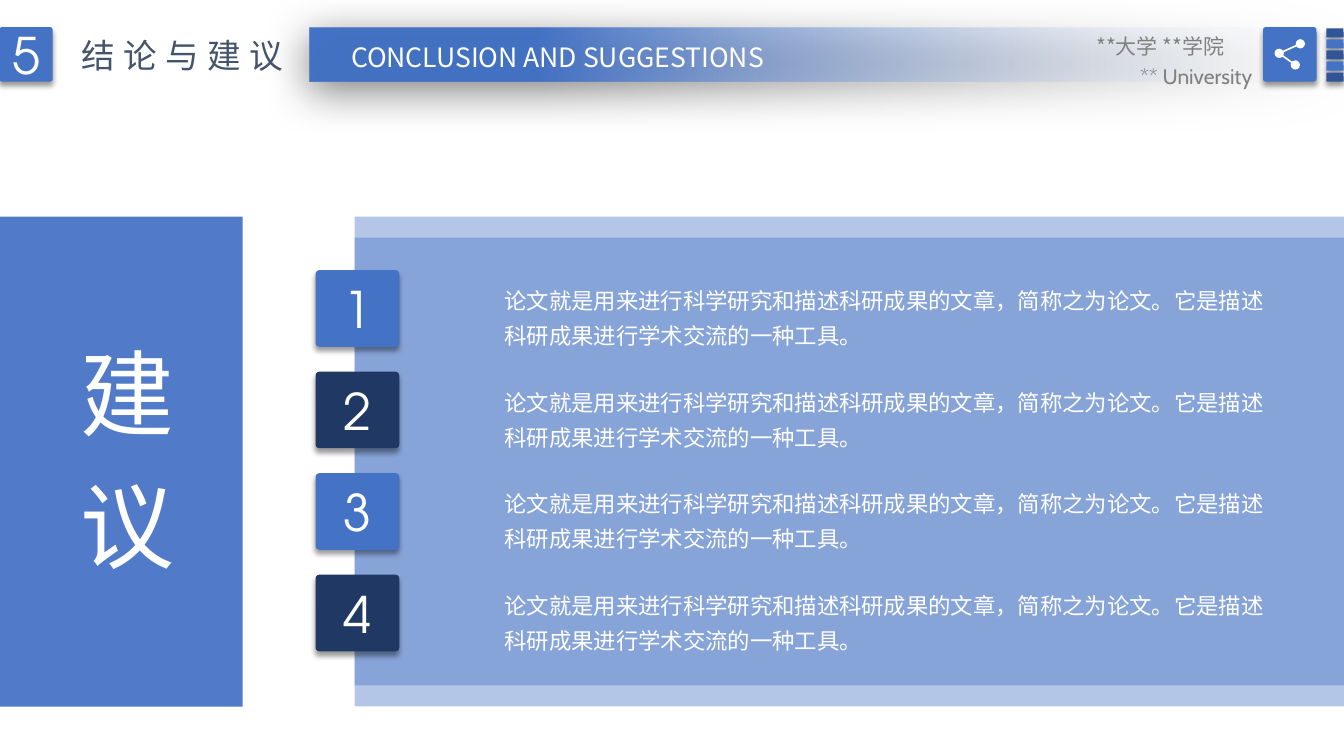
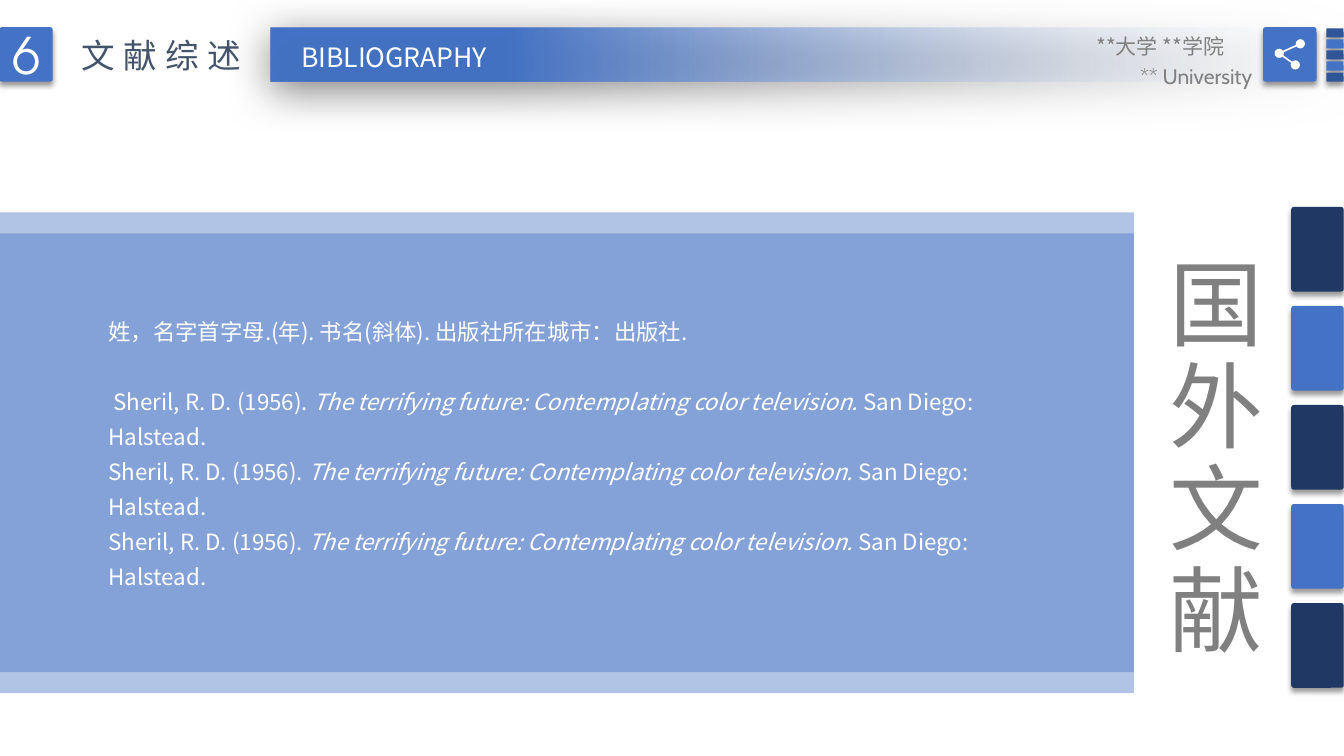
from pptx import Presentation
from pptx.dml.color import RGBColor
from pptx.enum import shapes, text
from pptx.oxml import ns, xmlchemy
from pptx.util import Pt

BLUE, NAVY, STEEL = "4472C4", "203864", "2F5597"
WHITE, GRAY, SLATE, PALE = "FFFFFF", "808080", "44546A", "F7FAFD"
SANS, ROUND, LATIN = "Noto Sans CJK SC", "TeX Gyre Adventor", "Cabin"
WIDE, HIGH = 960, 540
RECT = shapes.MSO_SHAPE.RECTANGLE
SOFT = shapes.MSO_SHAPE.ROUNDED_RECTANGLE
OVAL = shapes.MSO_SHAPE.OVAL
LEFT, MID, RIGHT = text.PP_ALIGN.LEFT, text.PP_ALIGN.CENTER, text.PP_ALIGN.RIGHT

ADVICE = "论文就是用来进行科学研究和描述科研成果的文章，简称之为论文。它是描述科研成果进行学术交流的一种工具。"
FORMAT = "姓，名字首字母.(年). 书名(斜体). 出版社所在城市：出版社."
AUTHOR = "Sheril, R. D. (1956). "
BOOK = "The terrifying future: Contemplating color television. "
PRESS = "San Diego: Halstead."


def color(code):
    return RGBColor.from_string(code)


def add(parent, tag, **attrs):
    node = xmlchemy.OxmlElement(tag)
    for key, value in attrs.items():
        node.set(key, str(value))
    parent.append(node)
    return node


def fade(shape, part):
    tint = next(shape._element.spPr.iter(ns.qn("a:srgbClr")))
    add(tint, "a:alpha", val=part * 1000)


def shade(shape, part, blur, dist, angle):
    effects = shape._element.spPr.find(ns.qn("a:effectLst"))
    drop = add(effects, "a:outerShdw", blurRad=Pt(blur), dist=Pt(dist),
               dir=angle * 60000, algn="ctr", rotWithShape=0)
    tint = add(drop, "a:srgbClr", val="000000")
    add(tint, "a:alpha", val=part * 1000)


def block(slide, kind, box, fill):
    shape = slide.shapes.add_shape(kind, *map(Pt, box))
    shape.shadow.inherit = False
    shape.line.fill.background()
    shape.fill.solid()
    shape.fill.fore_color.rgb = color(fill)
    return shape


def style(para, size, fill, face=SANS, align=LEFT, track=0):
    para.alignment = align
    font = para.font
    font.size, font.name = Pt(size), face
    font.color.rgb = color(fill)
    props = para._p.pPr.find(ns.qn("a:defRPr"))
    add(props, "a:ea", typeface=face)
    if track:
        props.set("spc", str(track * 100))


def label(slide, box, words, size, fill, wrap=True, **look):
    frame = slide.shapes.add_textbox(*map(Pt, box)).text_frame
    frame.word_wrap = wrap
    para = frame.paragraphs[0]
    para.text = words
    style(para, size, fill, **look)
    return frame


def upright(slide, box, words, fill):
    frame = label(slide, box, words, 67, fill, wrap=False, track=6)
    frame._txBody.bodyPr.set("vert", "eaVert")


def tile(slide, box, fill, words=""):
    shape = block(slide, SOFT, box, fill)
    shape.adjustments[0] = 0.05
    shade(shape, 40, 4, 3, 90)
    if words:
        frame = shape.text_frame
        frame.vertical_anchor = text.MSO_ANCHOR.MIDDLE
        para = frame.paragraphs[0]
        para.text = words
        style(para, 36, WHITE, face=ROUND, align=MID)


def panel(slide, left, top, width, height, part):
    for drop in (15, 0):
        fade(block(slide, RECT, (left, top + drop, width, height), BLUE), part)


def icon(slide, left, top):
    tile(slide, (left, top, 38.2, 38.9), BLUE)
    hub, *ends = dots = [(left + x, top + y)
                         for x, y in ((11.5, 18.7), (26.6, 11.9), (23, 27))]
    for end in ends:
        line = slide.shapes.add_connector(
            shapes.MSO_CONNECTOR.STRAIGHT, *map(Pt, hub + end))
        line.line.color.rgb = color(WHITE)
        line.line.width = Pt(1.2)
        add(line._element.spPr, "a:effectLst")
    for x, y in dots:
        block(slide, OVAL, (x - 3.3, y - 3.3, 6.6, 6.6), WHITE)


def header(slide, number, name, english, left, width):
    bar = block(slide, RECT, (left, 20, WIDE - left, 38.2), BLUE)
    bar.fill.gradient()
    bar.fill.gradient_angle = 180
    for stop, (place, fill) in zip(bar.fill.gradient_stops, ((0, PALE), (0.78, BLUE))):
        stop.position = place
        stop.color.rgb = color(fill)
    fade(bar, 0)
    shade(bar, 50, 31, 6, 97)
    tile(slide, (-0.5, 19.4, 38.2, 38.9), BLUE, number)

    title = slide.shapes.title
    title.left, title.top, title.width, title.height = map(Pt, (51, 21, left - 61, 36))
    frame = title.text_frame
    frame.text = name
    frame.word_wrap = False
    frame.auto_size = text.MSO_AUTO_SIZE.SHAPE_TO_FIT_TEXT
    frame.vertical_anchor = text.MSO_ANCHOR.TOP
    style(frame.paragraphs[0], 24, SLATE, track=6)
    slide.shapes._spTree.append(title._element)

    label(slide, (left + 11, 26, width, 30), english, 19, WHITE, wrap=False, align=MID)
    for i in range(5):
        tile(slide, (947.5, 20.2 + 7.9 * i, 12.2, 6.5), (STEEL, BLUE)[i % 2])
    icon(slide, 902.2, 19.4)
    label(slide, (731, 20.2, 150.5, 29), "**大学 **学院", 15, GRAY, align=RIGHT)
    label(slide, (731, 41.9, 170.5, 25), "** University", 15, GRAY, face=LATIN, align=RIGHT)


def advice(slide, left, top, width, height):
    panel(slide, left, top, width, height, 40)
    for i in range(4):
        y = top + 38.2 + 72.5 * i
        tile(slide, (left - 28, y, 59.8, 54.7), (BLUE, NAVY)[i % 2], str(i + 1))
        frame = label(slide, (left + 100, y + 2.9, 561.6, 57.6), ADVICE, 16, WHITE)
        frame.paragraphs[0].line_spacing = 1.3


def banner(slide, left, top, width, height):
    fade(block(slide, RECT, (left, top, width, height), BLUE), 93)
    upright(slide, (left + 37, top + 85.7, 95.8, 175), "建 议", WHITE)


def sources(slide, left, top, width, height):
    panel(slide, left, top, width, height, 41)
    frame = label(slide, (left + 70.5, top + 66.2, 641.5, 233), FORMAT, 16, WHITE)
    for i in range(3):
        para = frame.add_paragraph()
        for words, slant in ((AUTHOR if i else " " + AUTHOR, False),
                             (BOOK, True), (PRESS, False)):
            run = para.add_run()
            run.text = words
            if slant:
                run.font.italic = True
        style(para, 16, WHITE)
    for para in frame.paragraphs:
        para.line_spacing = 1.3
    frame.paragraphs[1].space_before = Pt(25)


def tabs(slide, left, top, width, height):
    for i in range(5):
        tile(slide, (left, top + 70.75 * i, width, height), (NAVY, BLUE)[i % 2])


def main():
    deck = Presentation()
    deck.slide_width, deck.slide_height = Pt(WIDE), Pt(HIGH)
    first, second = [deck.slides.add_slide(deck.slide_layouts[5]) for _ in range(2)]

    advice(first, 253.4, 154.8, 706.6, 334.8)
    banner(first, -0.7, 154.8, 174, 350)
    header(first, "5", "结论与建议", "CONCLUSION AND SUGGESTIONS", 221, 332.6)

    sources(second, 0, 151.8, 810, 328.3)
    upright(second, (814.3, 176.4, 95.8, 296), "国外文献", GRAY)
    header(second, "6", "文献综述", "BIBLIOGRAPHY", 193.5, 154)
    tabs(second, 922.3, 147.8, 37.5, 60.5)

    deck.save("out.pptx")


if __name__ == "__main__":
    main()
